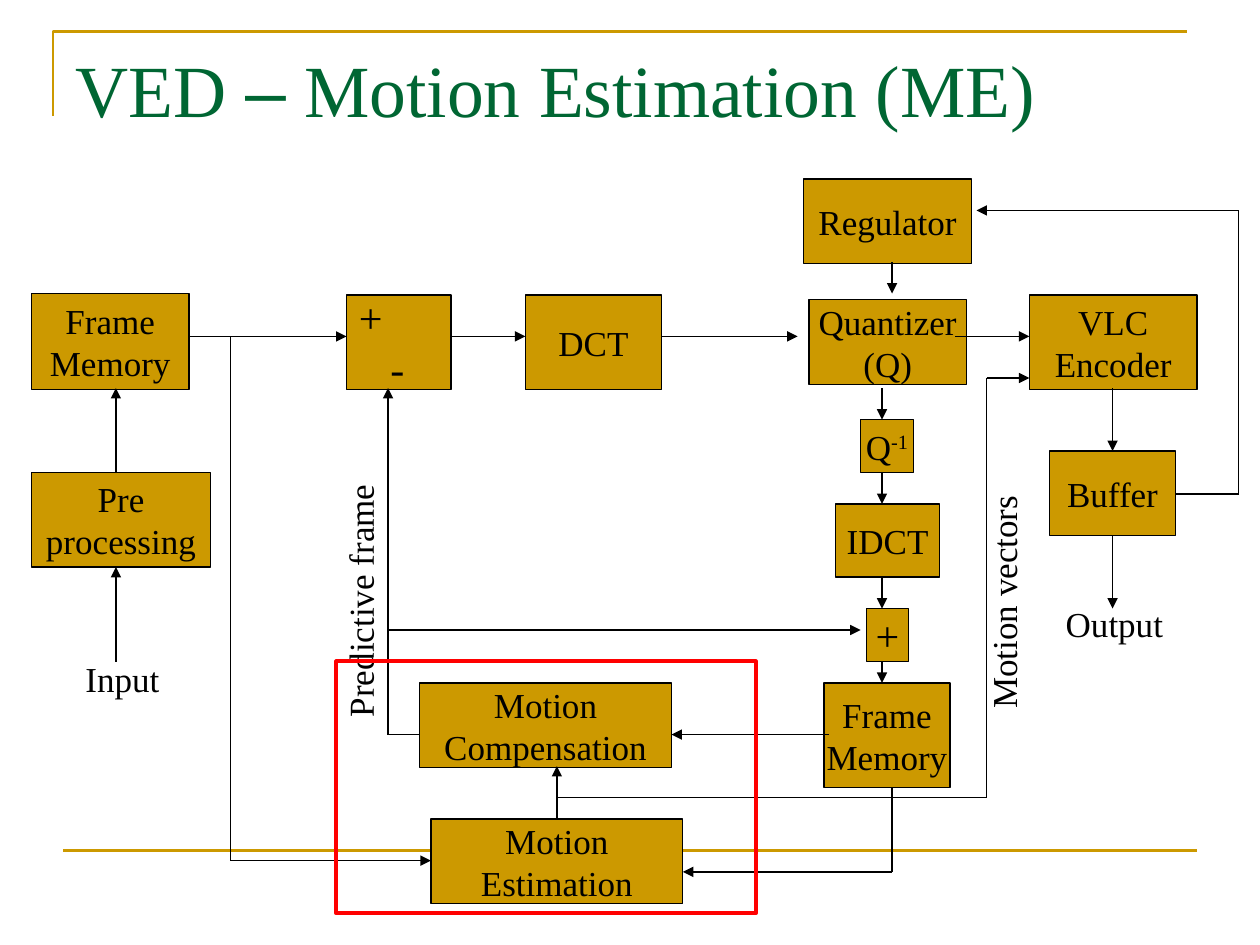
"""Build the block diagram slide of a video encoder with motion estimation."""
from itertools import pairwise

from lxml import etree
from pptx import Presentation
from pptx.dml.color import RGBColor
from pptx.enum.shapes import MSO_CONNECTOR, MSO_SHAPE
from pptx.enum.text import MSO_ANCHOR, MSO_AUTO_SIZE, PP_ALIGN
from pptx.oxml.ns import qn
from pptx.util import Inches, Pt

STRAIGHT, RECTANGLE = MSO_CONNECTOR.STRAIGHT, MSO_SHAPE.RECTANGLE
TOP, MIDDLE = MSO_ANCHOR.TOP, MSO_ANCHOR.MIDDLE
LEFT, CENTER = PP_ALIGN.LEFT, PP_ALIGN.CENTER
FIXED, GROW = MSO_AUTO_SIZE.NONE, MSO_AUTO_SIZE.SHAPE_TO_FIT_TEXT

THEME = {
    "gold": RGBColor(0xCC, 0x99, 0x00), "green": RGBColor(0x00, 0x66, 0x33),
    "black": RGBColor(0, 0, 0), "red": RGBColor(0xFF, 0, 0),
    "serif": "Times New Roman", "sans": "Arial",
    "title": 42, "label": 20, "sign": 24,
    "thin": 0.75, "rule": 1.5, "frame": 2.25,
}

TITLE = [("VED ", "serif"), ("–", "sans"), (" Motion Estimation (ME)", "serif")]
BRACKET = [(0.42, 0.92), (0.42, 0.25), (9.42, 0.25)]
FOOT_RULE = [(0.5, 6.75), (9.5, 6.75)]
HIGHLIGHT = (2.67, 5.25, 3.33, 2)

BLOCKS = [
    ("Pre\nprocessing", (0.25, 3.75, 1.42, 0.75)),
    ("Frame\nMemory", (0.25, 2.33, 1.25, 0.76)),
    ("DCT", (4.17, 2.34, 1.08, 0.75)),
    ("Motion\nCompensation", (3.33, 5.42, 2, 0.67)),
    ("Motion\nEstimation", (3.42, 6.5, 2, 0.67)),
    ("Frame\nMemory", (6.54, 5.42, 1, 0.83)),
    ("IDCT", (6.63, 4, 0.83, 0.58)),
    ("Quantizer\n(Q)", (6.42, 2.38, 1.25, 0.67)),
    ("Regulator", (6.38, 1.42, 1.33, 0.67)),
    ("VLC\nEncoder", (8.17, 2.34, 1.33, 0.75)),
    ("Buffer", (8.33, 3.58, 1, 0.67)),
]
DIFFERENCE = ("+\n-", (2.75, 2.34, 0.83, 0.75))
SUM = ("+", (6.88, 4.83, 0.33, 0.42))
INVERSE = ("Q", "-1", (6.83, 3.33, 0.42, 0.42))

ARROWS = [
    [(0.92, 5.25), (0.92, 4.5)],
    [(0.92, 3.75), (0.92, 3.08)],
    [(1.5, 2.67), (2.75, 2.67)],
    [(3.58, 2.67), (4.17, 2.67)],
    [(5.25, 2.67), (6.33, 2.67)],
    [(7.58, 2.67), (8.17, 2.67)],
    [(1.83, 2.67), (1.83, 6.83), (3.42, 6.83)],
    [(3.33, 5.83), (3.08, 5.83), (3.08, 3.08)],
    [(4.42, 6.5), (4.42, 6.08)],
    [(4.42, 6.33), (7.83, 6.33), (7.83, 3), (8.17, 3)],
    [(8.83, 3.08), (8.83, 3.58)],
    [(8.83, 4.25), (8.83, 4.83)],
    [(6.58, 5.83), (5.33, 5.83)],
    [(3.08, 5), (6.83, 5)],
    [(7, 5.25), (7, 5.42)],
    [(7, 4.58), (7, 4.83)],
    [(7, 3.75), (7, 4)],
    [(7, 3.08), (7, 3.33)],
    [(7.08, 2.08), (7.08, 2.33)],
    [(9.33, 3.92), (9.83, 3.92), (9.83, 1.67), (7.75, 1.67)],
    [(7.08, 6.25), (7.08, 6.92), (5.42, 6.92)],
]
LABELS = [
    ("Output", (8.36, 4.73, 0.97, 0.44), 0),
    ("Input", (0.58, 5.17, 0.79, 0.44), 0),
    ("Predictive frame", (1.79, 4.5, 2.14, 0.44), 270),
    ("Motion vectors", (7.02, 4.56, 1.89, 0.44), 270),
]


def style_span(span, size, color="black", face="serif"):
    span.font.name = THEME[face]
    span.font.size = Pt(THEME[size])
    span.font.color.rgb = THEME[color]


def write(frame, text, align, size="label"):
    frame.text = text
    frame.word_wrap = False
    for para in frame.paragraphs:
        para.alignment = align
        for span in para.runs:
            style_span(span, size)


def outline(shape, color, width):
    shape.line.color.rgb = THEME[color]
    shape.line.width = Pt(THEME[width])


def add_block(page, text, area, align=CENTER, size="label"):
    box = page.shapes.add_shape(RECTANGLE, *map(Inches, area))
    box.shadow.inherit = False
    box.fill.solid()
    box.fill.fore_color.rgb = THEME["gold"]
    outline(box, "black", "thin")
    box.text_frame.vertical_anchor = MIDDLE
    write(box.text_frame, text, align, size)
    return box


def add_line(page, start, end, color="black", width="thin", arrow=False):
    line = page.shapes.add_connector(STRAIGHT, *map(Inches, (*start, *end)))
    outline(line, color, width)
    if arrow:
        etree.SubElement(line.line._get_or_add_ln(), qn("a:tailEnd"), type="triangle")
    etree.SubElement(line._element.spPr, qn("a:effectLst"))


def add_title(page):
    title = page.shapes.title
    title.left, title.top, title.width, title.height = map(Inches, (0.5, 0.3, 9, 1.25))
    frame = title.text_frame
    frame.auto_size = FIXED
    frame.vertical_anchor = TOP
    para = frame.paragraphs[0]
    para.alignment = LEFT
    for text, face in TITLE:
        span = para.add_run()
        span.text = text
        style_span(span, "title", "green", face)


def add_decoration(page):
    points = [(Inches(x), Inches(y)) for x, y in BRACKET]
    builder = page.shapes.build_freeform(*points[0])
    builder.add_line_segments(points[1:], close=False)
    bracket = builder.convert_to_shape()
    bracket.shadow.inherit = False
    bracket.fill.background()
    outline(bracket, "gold", "rule")
    add_line(page, *FOOT_RULE, "gold", "rule")


def add_operators(page):
    difference = add_block(page, *DIFFERENCE, LEFT, "sign")
    minus = difference.text_frame.paragraphs[1]
    minus._p.get_or_add_pPr().set("marL", str(Inches(0.25)))
    add_block(page, *SUM, size="sign")
    base, power, area = INVERSE
    inverse = add_block(page, base, area)
    span = inverse.text_frame.paragraphs[0].add_run()
    span.text = power
    style_span(span, "label")
    span._r.get_or_add_rPr().set("baseline", "30000")


def add_label(page, text, area, rotation):
    box = page.shapes.add_textbox(*map(Inches, area))
    box.rotation = rotation
    write(box.text_frame, text, LEFT)
    box.text_frame.auto_size = GROW


def main():
    deck = Presentation()
    deck.slide_width, deck.slide_height = Inches(10), Inches(7.5)
    page = deck.slides.add_slide(deck.slide_layouts[5])
    add_decoration(page)
    add_title(page)
    for text, area in BLOCKS:
        add_block(page, text, area)
    add_operators(page)
    for route in ARROWS:
        for start, end in pairwise(route):
            add_line(page, start, end, arrow=end == route[-1])
    for label in LABELS:
        add_label(page, *label)
    highlight = page.shapes.add_shape(RECTANGLE, *map(Inches, HIGHLIGHT))
    highlight.shadow.inherit = False
    highlight.fill.background()
    outline(highlight, "red", "frame")
    deck.save("out.pptx")


if __name__ == "__main__":
    main()
